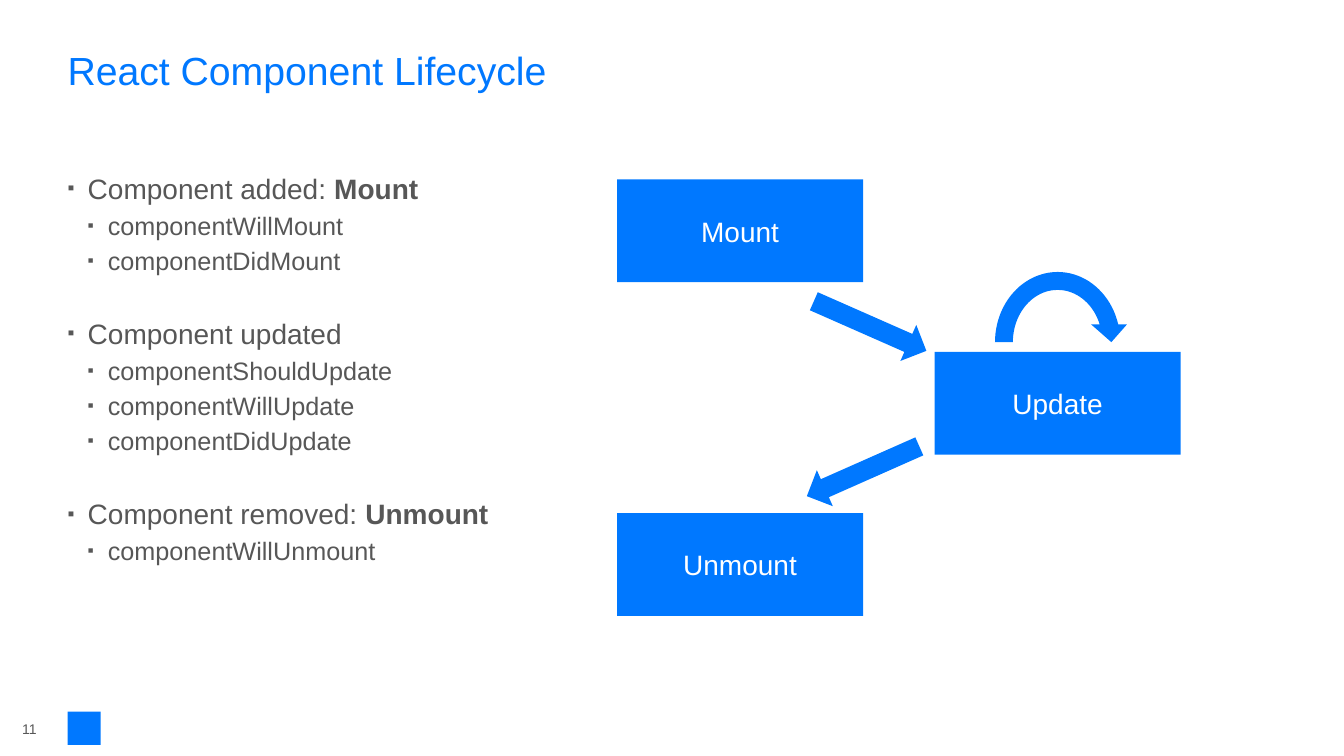
from dataclasses import dataclass

from lxml.etree import SubElement
from pptx import Presentation
from pptx.dml.color import RGBColor
from pptx.enum.shapes import MSO_SHAPE
from pptx.enum.text import MSO_ANCHOR, PP_ALIGN
from pptx.oxml.ns import qn
from pptx.util import Inches, Pt


@dataclass(frozen=True)
class Theme:
    font: str = "Arial"
    blue: RGBColor = RGBColor(0x00, 0x78, 0xFF)
    gray: RGBColor = RGBColor(0x57, 0x57, 0x57)
    white: RGBColor = RGBColor(0xFF, 0xFF, 0xFF)
    title: int = 28
    heading: int = 20
    method: int = 18
    footer: int = 10


THEME = Theme()
LEFT_MARGIN = 0.67
BULLET_INDENT = 0.2
LINE_GAP = 3.5
GROUP_GAP = 29.4
NODE_SIZE = (2.44, 1.02)
ARROW_SIZE = (1.22, 0.39)

# Each phase: heading, bold ending, lifecycle methods
PHASES = [
    ("Component added: ", "Mount", ["componentWillMount", "componentDidMount"]),
    ("Component updated", "",
     ["componentShouldUpdate", "componentWillUpdate", "componentDidUpdate"]),
    ("Component removed: ", "Unmount", ["componentWillUnmount"]),
]
NODES = [("Mount", 6.12, 1.78), ("Unmount", 6.12, 5.09), ("Update", 9.27, 3.49)]
ARROWS = [(8.02, 3.04, 23.8), (7.95, 4.48, 156.1)]


def style(para, size, color):
    para.font.name = THEME.font
    para.font.size = Pt(size)
    para.font.color.rgb = color


def clear_margins(frame, top=0):
    frame.margin_left = frame.margin_right = frame.margin_bottom = 0
    frame.margin_top = Inches(top)
    frame.word_wrap = True


def add_text_box(slide, area, top_margin=0, anchor=MSO_ANCHOR.TOP):
    box = slide.shapes.add_textbox(*map(Inches, area))
    clear_margins(box.text_frame, top_margin)
    box.text_frame.vertical_anchor = anchor
    return box.text_frame


def add_label(frame, text, size, color):
    para = frame.paragraphs[0]
    para.text = text
    style(para, size, color)
    return para


def add_blue_shape(slide, kind, area, rotation=0):
    shape = slide.shapes.add_shape(kind, *map(Inches, area))
    shape.rotation = rotation
    shape.shadow.inherit = False
    shape.fill.solid()
    shape.fill.fore_color.rgb = THEME.blue
    shape.line.fill.background()
    return shape


def add_node(slide, name, left, top):
    area = (left, top, *NODE_SIZE)
    frame = add_blue_shape(slide, MSO_SHAPE.RECTANGLE, area).text_frame
    clear_margins(frame)
    frame.vertical_anchor = MSO_ANCHOR.MIDDLE
    add_label(frame, name, THEME.heading, THEME.white).alignment = PP_ALIGN.CENTER


def add_bullet(para, level):
    para.level = level
    properties = para._p.get_or_add_pPr()
    properties.set("marL", str(Inches(BULLET_INDENT * (level + 1))))
    properties.set("indent", str(-Inches(BULLET_INDENT)))
    SubElement(properties, qn("a:buSzPct"), val="70000")
    SubElement(properties, qn("a:buFont"), typeface=THEME.font)
    SubElement(properties, qn("a:buChar"), char="▪")


def add_phases(frame):
    for index, (heading, ending, methods) in enumerate(PHASES):
        para = frame.add_paragraph() if index else frame.paragraphs[0]
        add_bullet(para, 0)
        para.space_before = Pt(GROUP_GAP if index else 0)
        style(para, THEME.heading, THEME.gray)
        para.add_run().text = heading
        if ending:
            span = para.add_run()
            span.text = ending
            span.font.bold = True
        for method in methods:
            para = frame.add_paragraph()
            add_bullet(para, 1)
            para.space_before = Pt(LINE_GAP)
            style(para, THEME.method, THEME.gray)
            para.add_run().text = method


def main():
    deck = Presentation()
    deck.slide_width, deck.slide_height = Inches(13.33), Inches(7.5)
    slide = deck.slides.add_slide(deck.slide_layouts[6])

    # Title and list of phases
    title = add_text_box(slide, (LEFT_MARGIN, 0.46, 12, 0.77))
    add_label(title, "React Component Lifecycle", THEME.title, THEME.blue)
    add_phases(add_text_box(slide, (LEFT_MARGIN, 1.31, 12, 5.39), 0.39))

    # Lifecycle diagram
    for name, left, top in NODES:
        add_node(slide, name, left, top)
    add_blue_shape(slide, MSO_SHAPE.CIRCULAR_ARROW, (9.78, 2.61, 1.42, 1.57))
    for left, top, rotation in ARROWS:
        add_blue_shape(slide, MSO_SHAPE.RIGHT_ARROW, (left, top, *ARROW_SIZE), rotation)

    # Footer with page number and plain square
    number = add_text_box(slide, (0.22, 7.03, 0.45, 0.4), anchor=MSO_ANCHOR.MIDDLE)
    add_label(number, "11", THEME.footer, THEME.gray)
    add_blue_shape(slide, MSO_SHAPE.RECTANGLE, (LEFT_MARGIN, 7.06, 0.33, 0.33))

    deck.save("out.pptx")


if __name__ == "__main__":
    main()
